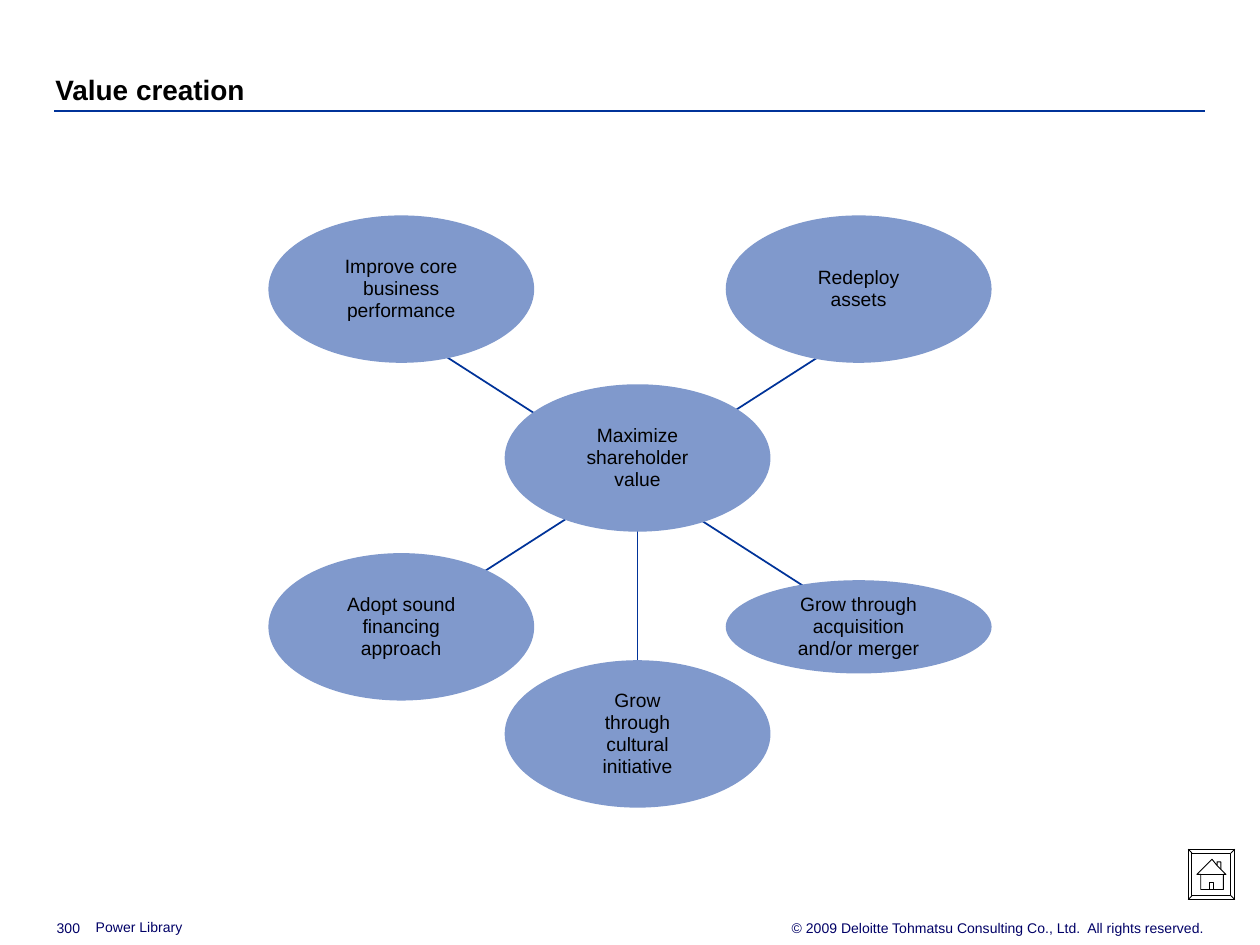
import pptx
import pptx.util
import pptx.dml.color
import pptx.enum.shapes
import pptx.enum.text
import pptx.oxml

COLS, ROWS = 100, 75
W, H = pptx.util.Inches(10), pptx.util.Inches(7.5)
COLORS = {"rule": "003399", "node": "8099CC", "footer": "000066", "ink": "000000"}
ALIGN = pptx.enum.text.PP_ALIGN
ANCHOR = pptx.enum.text.MSO_ANCHOR
SHAPE = pptx.enum.shapes.MSO_SHAPE
FRAME = dict(margin_left=0, margin_top=0, margin_right=0, margin_bottom=0, word_wrap=True)
TITLE = dict(name="Arial", size=pptx.util.Pt(16), bold=True)
LABEL = dict(name="Arial", size=pptx.util.Pt(11))
SMALL = dict(name="Arial", size=pptx.util.Pt(8))


def col(n):
    """Return the length of n grid columns."""
    return round(W * n / COLS)


def row(n):
    """Return the length of n grid rows."""
    return round(H * n / ROWS)


def rgb(key):
    """Return the named colour."""
    return pptx.dml.color.RGBColor.from_string(COLORS[key])


def apply(obj, values):
    """Set each attribute of obj from a dict."""
    for name, value in values.items():
        setattr(obj, name, value)


def write(sp, lines, font, color, anchor, **paragraph):
    """Fill a shape with one paragraph per line."""
    tf = sp.text_frame
    apply(tf, dict(FRAME, vertical_anchor=anchor))
    tf.text = "\n".join(lines)
    for p in tf.paragraphs:
        apply(p, paragraph)
        for r in p.runs:
            apply(r.font, font)
            r.font.color.rgb = rgb(color)


def add_text(s, box, text, font, color, anchor=ANCHOR.BOTTOM, **paragraph):
    """Add a one-line text box."""
    x, y, w, h = box
    sp = s.shapes.add_textbox(col(x), row(y), col(w), row(h))
    write(sp, [text], font, color, anchor, **paragraph)


def add_line(s, x1, y1, x2, y2, width):
    """Add a straight line between two grid points."""
    straight = pptx.enum.shapes.MSO_CONNECTOR.STRAIGHT
    sp = s.shapes.add_connector(straight, col(x1), row(y1), col(x2), row(y2))
    sp.line.color.rgb = rgb("rule")
    sp.line.width = pptx.util.Pt(width)
    sp._element.spPr.append(pptx.oxml.parse_xml(
        '<a:effectLst xmlns:a="http://schemas.openxmlformats.org/drawingml/2006/main"/>'))


def add_header(s, box):
    """Place the title with the rule below it."""
    x, y, w, h = box
    add_text(s, (x + 0.1, y, w, h - 0.4), "Value creation", TITLE, "ink", line_spacing=1.06)
    add_line(s, x, y + h, x + w, y + h, 1.5)


def add_node(s, cx, cy, w, h, lines):
    """Place an ellipse centred on a grid point."""
    sp = s.shapes.add_shape(SHAPE.OVAL, col(cx - w / 2), row(cy - h / 2), col(w), row(h))
    sp.shadow.inherit = False
    sp.fill.solid()
    sp.fill.fore_color.rgb = rgb("node")
    sp.line.fill.background()
    write(sp, lines, LABEL, "ink", ANCHOR.MIDDLE, alignment=ALIGN.CENTER, line_spacing=0.95)


def add_diagram(s, box):
    """Place the hub, its spokes and the five drivers."""
    x, y, w, h = box
    nw, nh, step = 21.1, 11.7, 13.4
    left, mid, right = x + nw / 2, x + 29.3, x + w - nw / 2
    top = y + nh / 2
    hub, low, bottom = top + step, top + 2 * step, y + h - nh / 2
    near, far = left + 0.2, right + 0.2
    add_line(s, mid, hub, mid, bottom, 1)
    add_line(s, near, top + 3.2, far, low - 0.3, 1)
    add_line(s, near, low - 0.3, far, top + 3.2, 1)
    nodes = [
        (mid, hub, nh, ["Maximize", "shareholder", "value"]),
        (mid, bottom, nh, ["Grow", "through", "cultural", "initiative"]),
        (right, top, nh, ["Redeploy", "assets"]),
        (left, top, nh, ["Improve core", "business", "performance"]),
        (right, low, 7.4, ["Grow through", "acquisition", "and/or merger"]),
        (left, low, nh, ["Adopt sound", "financing", "approach"]),
    ]
    for cx, cy, height, lines in nodes:
        add_node(s, cx, cy, nw, height, lines)


def add_home_icon(s, box):
    """Outline a bevelled button with a house, in tenths of a grid unit."""
    x, y, w, h = box
    w, h, bevel = round(w * 10), round(h * 10), 3
    outer = [(0, 0), (w, 0), (w, h), (0, h)]
    inner = [(bevel, bevel), (w - bevel, bevel), (w - bevel, h - bevel), (bevel, h - bevel)]
    house = [(19, 8), (23, 13), (23, 10), (26, 10), (26, 16), (30, 20),
             (28, 20), (28, 32), (10, 32), (10, 20), (7, 20)]
    details = [[(10, 20), (28, 20)], [(23, 13), (26, 16)],
               [(17, 32), (17, 26), (20, 26), (20, 32)]]
    contours = [(pts, True) for pts in (outer, inner, house)]
    contours += [(pts, False) for pts in [*zip(outer, inner), *details]]
    fb = s.shapes.build_freeform(0, 0, scale=col(0.1))
    for pts, close in contours:
        fb.move_to(*pts[0])
        fb.add_line_segments(pts[1:], close=close)
    sp = fb.convert_to_shape(col(x), row(y))
    sp.shadow.inherit = False
    sp.fill.background()
    sp.line.color.rgb = rgb("ink")
    sp.line.width = pptx.util.Pt(0.5)


def add_footer(s, box):
    """Place the page number, the deck name and the copyright line."""
    x, y, w, h = box
    add_text(s, (x, y, 3.2, h), "300", SMALL, "footer")
    add_text(s, (x + 3.1, y - 0.1, 44.2, h), "Power Library", SMALL, "footer")
    add_text(s, (x + w - 38, y, 38, h),
             "© 2009 Deloitte Tohmatsu Consulting Co., Ltd.  All rights reserved.",
             SMALL, "footer", ANCHOR.TOP, alignment=ALIGN.RIGHT)


def main():
    """Build the slide and save it."""
    prs = pptx.Presentation()
    apply(prs, dict(slide_width=W, slide_height=H))
    s = prs.slides.add_slide(prs.slide_layouts[6])
    add_header(s, (4.3, 5.6, 91.3, 3.2))
    add_diagram(s, (21.3, 17.1, 57.4, 47))
    add_home_icon(s, (94.3, 67.4, 3.7, 4))
    add_footer(s, (4.5, 73, 91.1, 1.3))
    prs.save("out.pptx")


if __name__ == "__main__":
    main()
